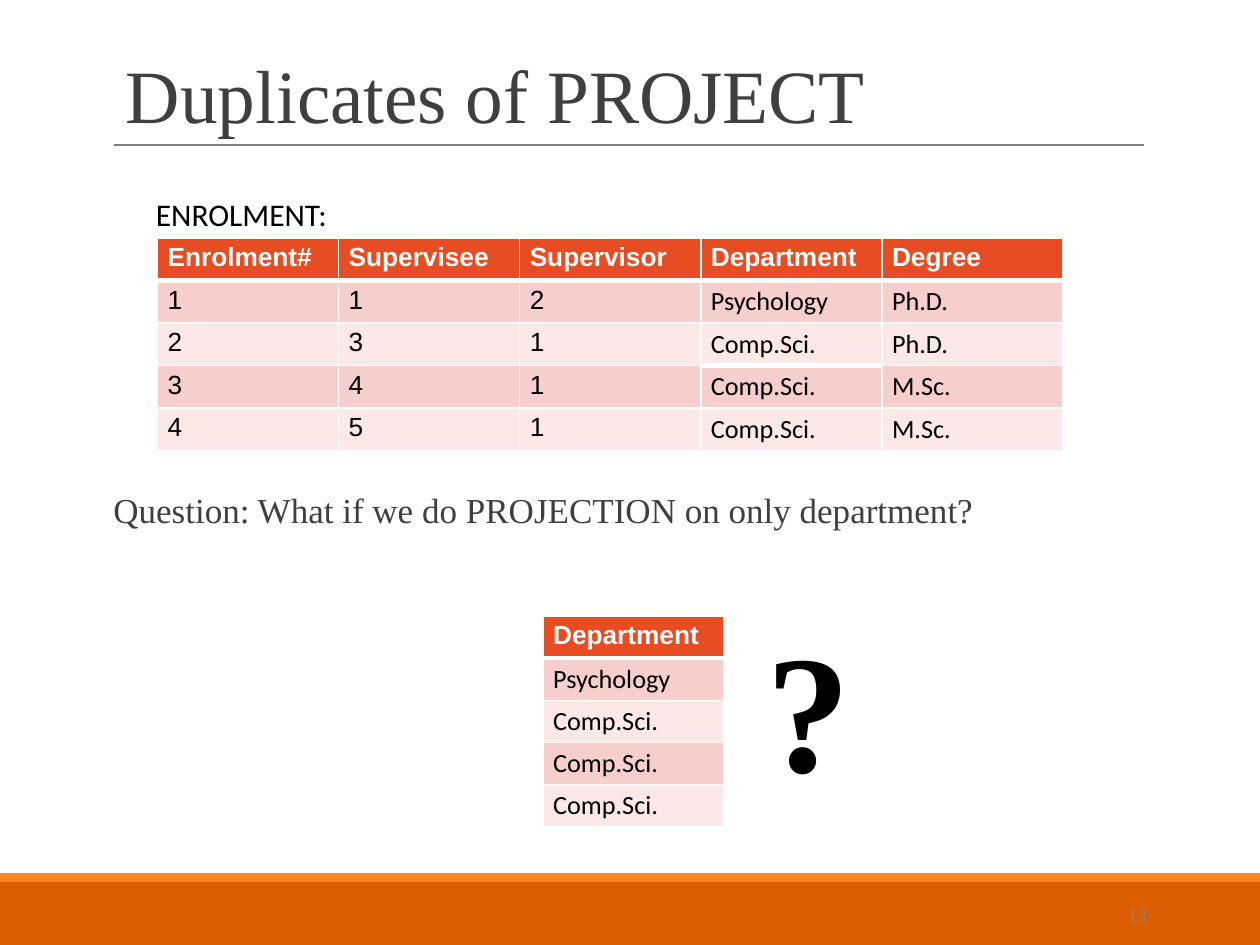
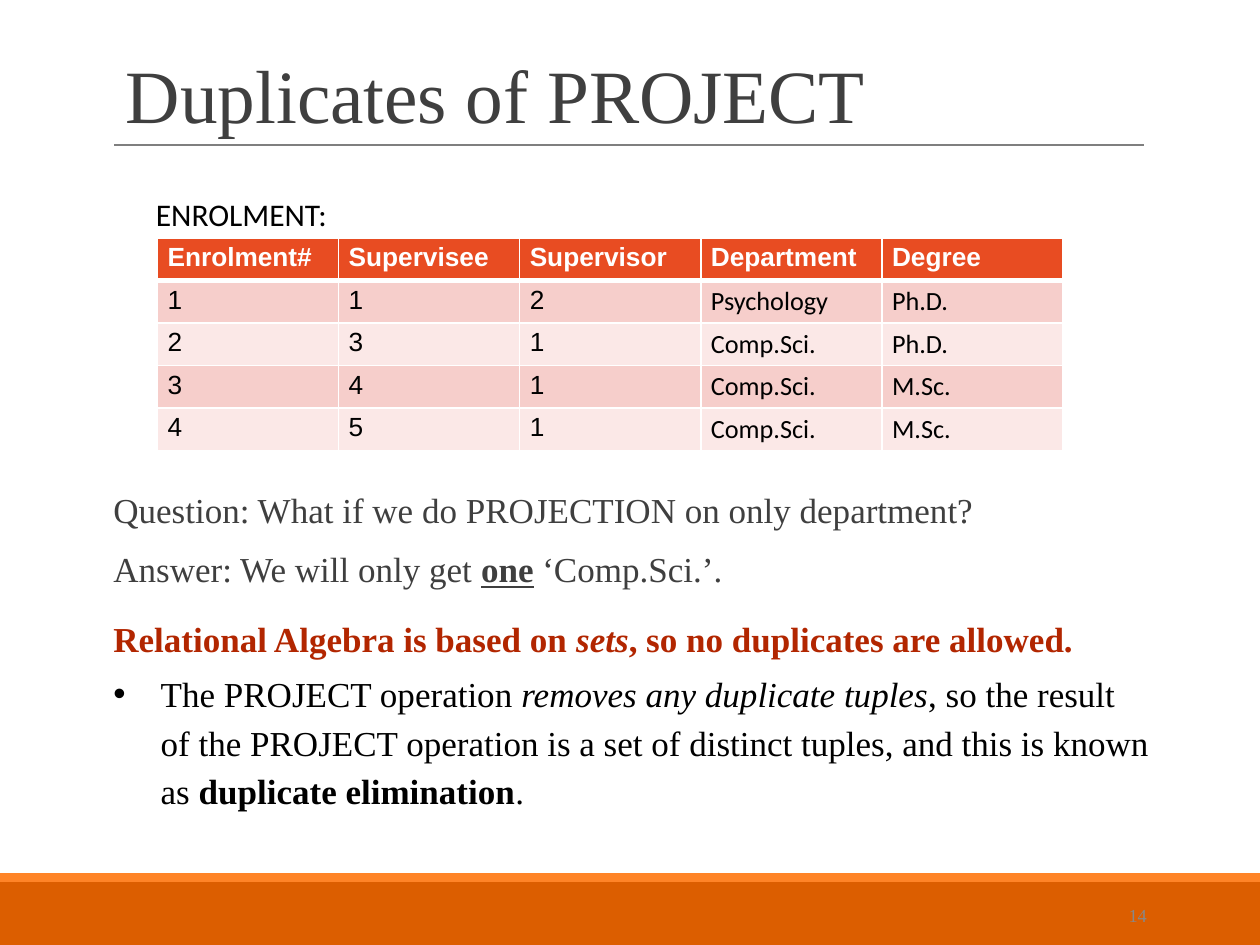
from lxml.etree import SubElement
from pptx import Presentation
from pptx.dml.color import RGBColor as Rgb
from pptx.enum.shapes import MSO_CONNECTOR as Connector, MSO_SHAPE as Shape
from pptx.enum.text import MSO_ANCHOR as Anchor, PP_ALIGN as Align
from pptx.oxml.ns import qn
from pptx.util import Pt


class Theme:
    serif, sans, label = "Times New Roman", "Arial", "Calibri"
    band, stripe, rule = "DC5E00", "FF8427", "7F7F7F"
    ink, black, white, accent, muted = "3F3F3F", "000000", "FFFFFF", "B22600", "888888"
    header, rows = "E84C22", ("F6CECB", "FBE8E7")
    title_size, body_size, caption_size, cell_size = 43, 20, 18, 15
    number_size, mark_size = 10.5, 96


def add_text(frame, paragraphs, base, insets, anchor=Anchor.TOP):
    """Fill a frame with (paragraph format, [(text, font changes)]) pairs over a base font."""
    frame.word_wrap = True
    frame.vertical_anchor = anchor
    for side, inset in zip(("left", "top", "right", "bottom"), insets):
        setattr(frame, f"margin_{side}", Pt(inset))
    for index, (layout, runs) in enumerate(paragraphs):
        paragraph = frame.add_paragraph() if index else frame.paragraphs[0]
        layout = dict(layout)
        hang = layout.pop("bullet_indent", None)
        if hang:
            properties = paragraph._p.get_or_add_pPr()
            properties.set("marL", str(Pt(hang)))
            properties.set("indent", str(-Pt(hang)))
            SubElement(properties, qn("a:buFont"), typeface=Theme.sans)
            SubElement(properties, qn("a:buChar"), char="•")
        for name, value in layout.items():
            setattr(paragraph, name, value)
        for text, changes in runs:
            run = paragraph.add_run()
            run.text = text
            font = base | changes
            run.font.color.rgb = Rgb.from_string(font.pop("color"))
            for name, value in font.items():
                setattr(run.font, name, value)


def add_relation(slide, left, top, row_height, records, heavy_rules):
    """Draw a table; heavy_rules holds the (row, column) cells with a thick bottom edge."""
    count = len(records[0])
    table = slide.shapes.add_table(len(records), count, Pt(left), Pt(top),
                                   Pt(column_width * count), Pt(row_height * len(records))).table
    for column in table.columns:
        column.width = Pt(column_width)
    for r, record in enumerate(records):
        table.rows[r].height = Pt(row_height)
        for c, value in enumerate(record):
            cell = table.cell(r, c)
            edges = {"L": 1, "R": 1,
                     "T": 3 if (r - 1, c) in heavy_rules else 1,
                     "B": 3 if (r, c) in heavy_rules else 1}
            properties = cell._tc.get_or_add_tcPr()
            for edge, width in edges.items():
                line = SubElement(properties, qn(f"a:ln{edge}"), w=str(Pt(width)))
                SubElement(SubElement(line, qn("a:solidFill")), qn("a:srgbClr"), val=Theme.white)
            cell.fill.solid()
            cell.fill.fore_color.rgb = Rgb.from_string(
                Theme.rows[(r - 1) % 2] if r else Theme.header)
            font = {"size": Pt(Theme.cell_size), "bold": r == 0,
                    "name": Theme.sans if r == 0 or value.isdigit() else Theme.label,
                    "color": Theme.black if r else Theme.white}
            add_text(cell.text_frame, [({}, [(value, {})])], font, ())
            for side, inset in cell_insets.items():
                setattr(cell, f"margin_{side}", Pt(inset))


column_width = 103.5
cell_insets = {"left": 5.76, "top": 2.88, "right": 5.76, "bottom": 2.88}
box_insets = (7.2, 3.6, 7.2, 3.6)

enrolment = [
    ("Enrolment#", "Supervisee", "Supervisor", "Department", "Degree"),
    ("1", "1", "2", "Psychology", "Ph.D."),
    ("2", "3", "1", "Comp.Sci.", "Ph.D."),
    ("3", "4", "1", "Comp.Sci.", "M.Sc."),
    ("4", "5", "1", "Comp.Sci.", "M.Sc."),
]
department = enrolment[0].index("Department")
departments = [(record[department],) for record in enrolment]
header_rules = {(0, c) for c in range(len(enrolment[0]))}

question = ({"line_spacing": 0.9},
            [("Question: What if we do PROJECTION on only department?", {})])
strong = {"color": Theme.accent, "bold": True}
plain = {"color": Theme.black}
answer = [
    ({"line_spacing": 0.9, "space_before": Pt(12)}, [
        ("Answer: We will only get ", {}),
        ("one", {"bold": True, "underline": True}),
        (" ‘Comp.Sci.’.", {})]),
    ({"line_spacing": 1.15, "space_before": Pt(12)}, [
        ("Relational Algebra is based on ", strong),
        ("sets", strong | {"italic": True}),
        (", so no duplicates are allowed.", strong)]),
    ({"line_spacing": 1.15, "space_before": Pt(4), "bullet_indent": 27}, [
        ("The PROJECT operation ", plain),
        ("removes any duplicate tuples", plain | {"italic": True}),
        (", so the result of the PROJECT operation is a set of distinct tuples, "
         "and this is known as ", plain),
        ("duplicate elimination", plain | {"bold": True}),
        (".", plain)]),
]

title_font = {"name": Theme.serif, "size": Pt(Theme.title_size), "color": Theme.ink}
body_font = title_font | {"size": Pt(Theme.body_size)}
number_font = {"name": Theme.serif, "size": Pt(Theme.number_size), "color": Theme.muted}
caption_font = {"name": Theme.label, "size": Pt(Theme.caption_size), "color": Theme.black}
mark_font = {"name": Theme.serif, "size": Pt(Theme.mark_size), "color": Theme.black, "bold": True}

deck = Presentation()
deck.slide_width, deck.slide_height = Pt(720), Pt(540)
blank = deck.slide_layouts[6]

# number, body paragraphs, body height, extra heavy rules
pages = [
    (13, [question], 51, {(2, department)}),
    (14, [question, *answer], 183, set()),
]
for number, body, body_height, extra_rules in pages:
    slide = deck.slides.add_slide(blank)
    for top, height, color in ((504, 36, Theme.band), (499, 5, Theme.stripe)):
        band = slide.shapes.add_shape(Shape.RECTANGLE, 0, Pt(top), Pt(720), Pt(height))
        band.shadow.inherit = False
        band.fill.solid()
        band.fill.fore_color.rgb = Rgb.from_string(color)
        band.line.fill.background()

    rule = slide.shapes.add_connector(Connector.STRAIGHT, Pt(65.3), Pt(82.8), Pt(653.8), Pt(82.8))
    rule.line.color.rgb = Rgb.from_string(Theme.rule)
    rule.line.width = Pt(0.75)
    SubElement(rule._element.spPr, qn("a:effectLst"))

    texts = [
        ((64.8, 22.3, 594, 60.5), [({"line_spacing": 0.85}, [("Duplicates of PROJECT", {})])],
         title_font, box_insets, Anchor.BOTTOM),
        ((64.8, 278.6, 594, body_height), body, body_font, (0, 3.6, 0, 3.6), Anchor.TOP),
        ((584.6, 508.5, 77.8, 28.8), [({"alignment": Align.RIGHT}, [(str(number), {})])],
         number_font, box_insets, Anchor.MIDDLE),
        ((82, 108, 216, 29), [({}, [("ENROLMENT:", {})])],
         caption_font, box_insets, Anchor.TOP),
    ]
    for place, paragraphs, font, insets, anchor in texts:
        box = slide.shapes.add_textbox(*map(Pt, place))
        add_text(box.text_frame, paragraphs, font, insets, anchor)
    add_relation(slide, 90, 136, 24.3, enrolment, header_rules | extra_rules)

projection = deck.slides[0]
add_relation(projection, 310.3, 352, 24.1, departments, {(0, 0)})
mark = projection.shapes.add_textbox(Pt(420.5), Pt(338.4), Pt(83.5), Pt(131))
add_text(mark.text_frame, [({"alignment": Align.CENTER}, [("?", {})])], mark_font, (7.2,) * 4)

deck.save("out.pptx")
